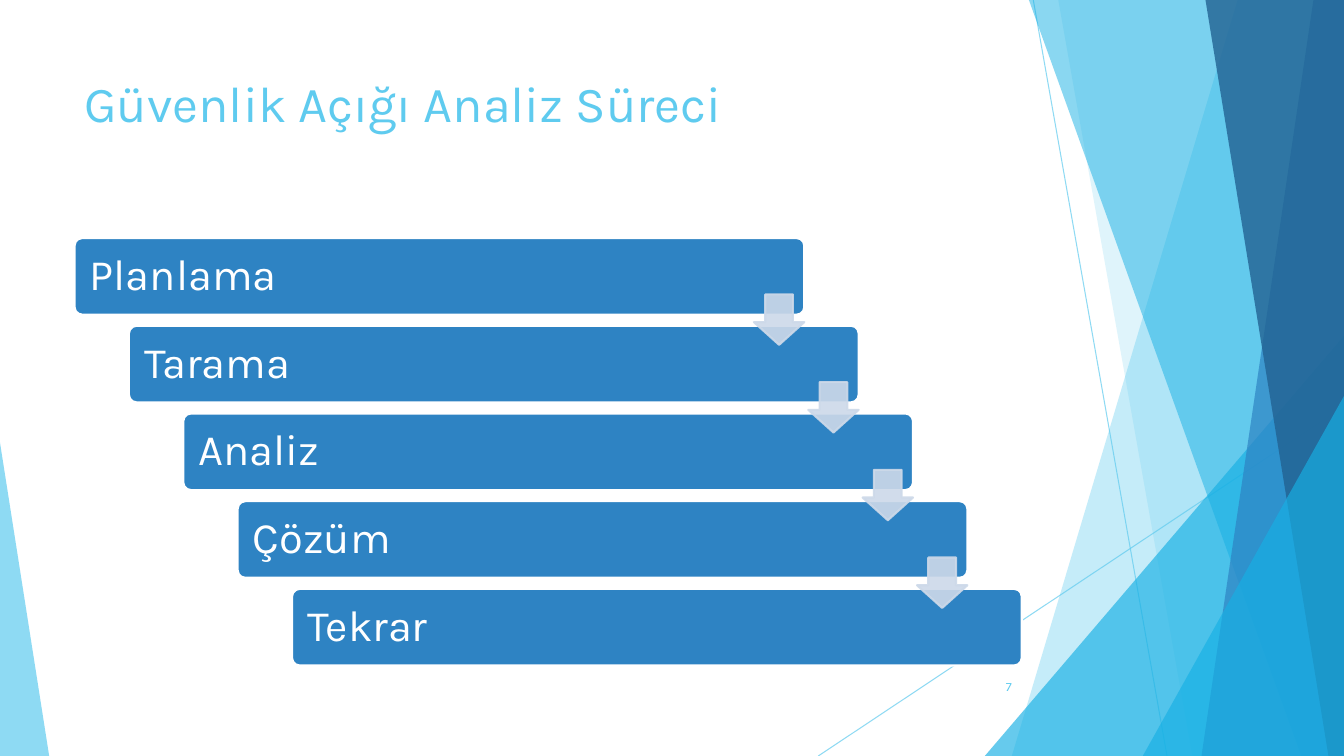
"""Builds the slide on the vulnerability analysis process: five descending steps on a faceted backdrop."""
import pptx
import pptx.dml.color
import pptx.enum.shapes
import pptx.enum.text
import pptx.oxml.ns
import pptx.util
from lxml import etree

Cm = pptx.util.Cm
Pt = pptx.util.Pt
RGB = pptx.dml.color.RGBColor.from_string
SHAPE = pptx.enum.shapes.MSO_SHAPE
ALIGN = pptx.enum.text.PP_ALIGN
ANCHOR = pptx.enum.text.MSO_ANCHOR
qn = pptx.oxml.ns.qn

THEME = {
    "font": "Karla",
    "sky": "5FCBEF", "cyan": "17B0E4", "blue": "2E83C3", "navy": "226292",
    "arrow": "CDD9E9", "white": "FFFFFF",
    "title": 36, "step": 31, "number": 9,
}
WIDTH, HEIGHT = 33.87, 19.05


def fade(item, opacity):
    """Set the opacity, in percent, of every colour of a shape or line."""
    for colour in item._element.spPr.iter(qn("a:srgbClr")):
        etree.SubElement(colour, qn("a:alpha")).set("val", str(opacity * 1000))


def write(box, text, role, colour, align, anchor):
    """Put one styled paragraph into a box."""
    frame = box.text_frame
    frame.word_wrap = True
    frame.vertical_anchor = anchor
    para = frame.paragraphs[0]
    para.text = text
    para.alignment = align
    font = para.runs[0].font
    font.name = THEME["font"]
    font.size = Pt(THEME[role])
    font.color.rgb = RGB(THEME[colour])
    return para


deck = pptx.Presentation()
deck.slide_width, deck.slide_height = Cm(WIDTH), Cm(HEIGHT)
page = deck.slides.add_slide(deck.slide_layouts[6])
shapes = page.shapes

for ends in ((26.04, 0, 29.41, HEIGHT), (WIDTH, 10.24, 20.62, HEIGHT)):
    ray = shapes.add_connector(pptx.enum.shapes.MSO_CONNECTOR.STRAIGHT, *map(Cm, ends))
    ray.line.color.rgb = RGB(THEME["sky"])
    ray.line.width = Pt(0.75)
    fade(ray, 70)
    etree.SubElement(ray._element.spPr, qn("a:effectLst"))

facets = [
    ("band", 31.19, 25.5, "sky", 36),
    ("band", 26.67, 30.05, "sky", 20),
    ("triangle", (24.82, 8.46, WIDTH), 1, "cyan", 66),
    ("band", 25.93, 32.79, "cyan", 50),
    ("band", 33.1, 30.28, "blue", 70),
    ("band", 30.38, 33.48, "navy", 80),
    ("triangle", (28.8, 9.98, WIDTH), 1, "cyan", 66),
    ("triangle", (0, 11.15, 1.24), 0, "sky", 70),
]
for kind, start, finish, colour, opacity in facets:
    if kind == "band":
        outline = shapes.build_freeform(Cm(start), 0)
        corners = ((WIDTH, 0), (WIDTH, HEIGHT), (finish, HEIGHT))
        outline.add_line_segments([(Cm(x), Cm(y)) for x, y in corners])
        facet = outline.convert_to_shape()
    else:
        left, top, right = start
        facet = shapes.add_shape(SHAPE.ISOSCELES_TRIANGLE, Cm(left), Cm(top),
                                 Cm(right - left), Cm(HEIGHT - top))
        facet.adjustments[0] = finish
    facet.shadow.inherit = False
    facet.fill.solid()
    facet.fill.fore_color.rgb = RGB(THEME[colour])
    facet.line.fill.background()
    fade(facet, opacity)

title = shapes.add_textbox(Cm(1.88), Cm(1.7), Cm(23.88), Cm(3.66))
write(title, "Güvenlik Açığı Analiz Süreci", "title", "sky", ALIGN.LEFT, ANCHOR.TOP)
number = shapes.add_textbox(Cm(23.85), Cm(16.79), Cm(1.9), Cm(1.02))
write(number, "7", "number", "sky", ALIGN.RIGHT, ANCHOR.MIDDLE).space_after = Pt(6)

STEPS = ["Planlama", "Tarama", "Analiz", "Çözüm", "Tekrar"]
SHIFT, DROP = 1.37, 2.21
for index, name in enumerate(STEPS):
    step = shapes.add_shape(SHAPE.ROUNDED_RECTANGLE, Cm(1.88 + index * SHIFT),
                            Cm(6 + index * DROP), Cm(18.39), Cm(1.93))
    step.adjustments[0] = 0.1
    step.shadow.inherit = False
    step.fill.solid()
    step.fill.fore_color.rgb = RGB(THEME["blue"])
    step.line.color.rgb = RGB(THEME["white"])
    step.line.width = Pt(1.5)
    step.text_frame.margin_left = Cm(0.33)
    write(step, name, "step", "white", ALIGN.LEFT, ANCHOR.MIDDLE).line_spacing = 0.9

for index in range(len(STEPS) - 1):
    arrow = shapes.add_shape(SHAPE.DOWN_ARROW, Cm(19 + index * SHIFT),
                             Cm(7.42 + index * DROP), Cm(1.27), Cm(1.27))
    arrow.adjustments[0], arrow.adjustments[1] = 0.55, 0.45
    arrow.shadow.inherit = False
    arrow.fill.solid()
    arrow.fill.fore_color.rgb = RGB(THEME["arrow"])
    arrow.line.color.rgb = RGB(THEME["arrow"])
    arrow.line.width = Pt(1.5)
    fade(arrow, 90)

deck.save("out.pptx")
